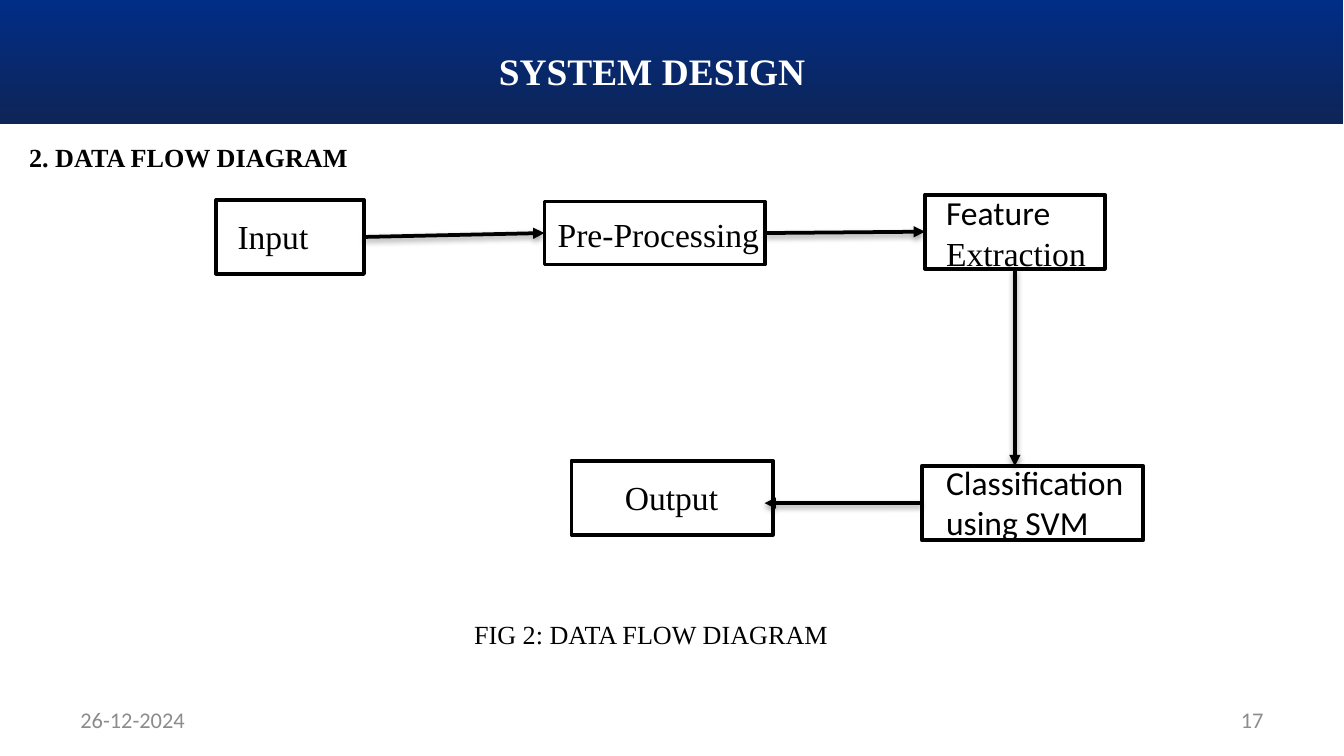
from lxml import etree
from pptx import Presentation
from pptx.dml.color import RGBColor
from pptx.enum.shapes import MSO_CONNECTOR, MSO_SHAPE
from pptx.enum.text import MSO_ANCHOR, PP_ALIGN
from pptx.oxml import parse_xml
from pptx.util import Cm, Pt

RECT = MSO_SHAPE.RECTANGLE
LINE = MSO_CONNECTOR.STRAIGHT
TOP, MID = MSO_ANCHOR.TOP, MSO_ANCHOR.MIDDLE
LEFT, CENTER, RIGHT = PP_ALIGN.LEFT, PP_ALIGN.CENTER, PP_ALIGN.RIGHT
BLACK = RGBColor(0x00, 0x00, 0x00)
WHITE = RGBColor(0xFF, 0xFF, 0xFF)
GRAY = RGBColor(0x8C, 0x8C, 0x8C)
BLUE = RGBColor(0x01, 0x2D, 0x86)
NAVY = RGBColor(0x0E, 0x25, 0x57)
SERIF, SANS = "Times New Roman", "Calibri"
NS = "http://schemas.openxmlformats.org/drawingml/2006/main"
SHADOW = (
    f'<a:effectLst xmlns:a="{NS}">'
    '<a:outerShdw blurRad="40000" dist="20000" dir="5400000" rotWithShape="0">'
    '<a:srgbClr val="000000"><a:alpha val="38000"/></a:srgbClr>'
    "</a:outerShdw></a:effectLst>"
)


def scale(box):
    """Turn a box in centimetres into lengths."""
    return [Cm(side) for side in box]


def write(shape, text, size=18, font=SERIF, color=BLACK, bold=False,
          align=LEFT, anchor=TOP):
    """Fill a shape with text, given as a string or (string, font) runs."""
    frame = shape.text_frame
    frame.word_wrap = True
    frame.vertical_anchor = anchor
    para = frame.paragraphs[0]
    para.alignment = align
    runs = [(text, font)] if isinstance(text, str) else text
    for words, face in runs:
        run = para.add_run()
        run.text = words
        run.font.name = face
        run.font.size = Pt(size)
        run.font.bold = bold
        run.font.color.rgb = color


def label(slide, box, text, **style):
    """Add a text box."""
    write(slide.shapes.add_textbox(*scale(box)), text, **style)


def header(slide, box):
    """Draw the shaded band with the title on it."""
    left, top, width, height = box
    band = slide.shapes.add_shape(RECT, *scale(box))
    band.shadow.inherit = False
    band.line.fill.background()
    band.fill.gradient()
    band.fill.gradient_angle = 270
    for stop, color, place in zip(band.fill.gradient_stops, (BLUE, NAVY), (0, 1)):
        stop.color.rgb = color
        stop.position = place
    title = slide.shapes.title
    title.element.addprevious(band.element)
    title.left, title.top, title.width, title.height = scale(
        (left + 0.91, top + 0.46, width - 2.55, height - 0.59))
    write(title, "SYSTEM DESIGN", size=20, color=WHITE, bold=True,
          align=CENTER, anchor=MID)


def node(slide, box):
    """Draw one outlined step."""
    shape = slide.shapes.add_shape(RECT, *scale(box))
    shape.shadow.inherit = False
    shape.fill.solid()
    shape.fill.fore_color.rgb = WHITE
    shape.line.color.rgb = BLACK
    shape.line.width = Pt(2)
    return shape


def arrow(slide, start, side, end):
    """Draw an arrow from a step's side to a point or to another step's left."""
    point = (end.left, end.top) if hasattr(end, "left") else scale(end)
    link = slide.shapes.add_connector(LINE, start.left, start.top, *point)
    link.begin_connect(start, side)
    if hasattr(end, "left"):
        link.end_connect(end, 1)
    link.line.color.rgb = BLACK
    link.line.width = Pt(2)
    props = link.element.spPr
    etree.SubElement(props.find(f"{{{NS}}}ln"), f"{{{NS}}}tailEnd", type="triangle")
    props.append(parse_xml(SHADOW))


def flow(slide, box):
    """Draw the steps, their labels and the arrows between them."""
    x, y, width, height = box
    right = x + width
    steps = [(x, y + 0.1, 2.79, 1.4), (x + 6.2, y + 0.13, 4.17, 1.19),
             (right - 4.13, y, 3.4, 1.4), (right - 4.19, y + height - 1.4, 4.19, 1.4),
             (x + 6.71, y + height - 1.5, 3.81, 1.4)]
    first, prep, feature, sort, last = [node(slide, step) for step in steps]
    words = [("Input", 0.15, 0.18, 3.48, 1.02),
             ("Pre-Processing", 0, 0.1, 5.92, 1.02),
             ([("Feature ", SANS), ("Extraction", SERIF)], 0.15, -0.17, 4.88, 1.8),
             ([("Classification using SVM", SANS)], 0.21, -0.2, 5.21, 1.8),
             ("Output", 0.76, 0.18, 3.35, 1.02)]
    for step, (text, dx, dy, wide, high) in zip(steps, words):
        label(slide, (step[0] + dx, step[1] + dy, wide, high), text)
    arrow(slide, first, 3, prep)
    arrow(slide, prep, 3, feature)
    arrow(slide, feature, 2, (right - 2.43, y + height - 1.4))
    arrow(slide, sort, 1, (x + 10.36, y + height - 0.7))


def footer(slide, box):
    """Write the date and the page number at the two ends."""
    left, top, width, height = box
    wide = 5.92
    for start, text, align in ((left, "26-12-2024", LEFT),
                               (left + width - wide, "17", RIGHT)):
        label(slide, (start, top, wide, height), text, size=12, font=SANS,
              color=GRAY, align=align, anchor=MID)


def main():
    """Build the slide and save it."""
    deck = Presentation()
    deck.slide_width, deck.slide_height = Cm(25.4), Cm(14.29)
    slide = deck.slides.add_slide(deck.slide_layouts[5])
    header(slide, (0, 0, 25.38, 2.34))
    label(slide, (0.3, 2.54, 6.91, 0.86), "2. DATA FLOW DIAGRAM", size=14, bold=True)
    flow(slide, (4.09, 3.68, 17.52, 6.53))
    label(slide, (8.71, 11.56, 9.53, 0.86), "FIG 2: DATA FLOW DIAGRAM", size=14)
    footer(slide, (1.27, 13.23, 22.86, 0.76))
    deck.save("out.pptx")


if __name__ == "__main__":
    main()
